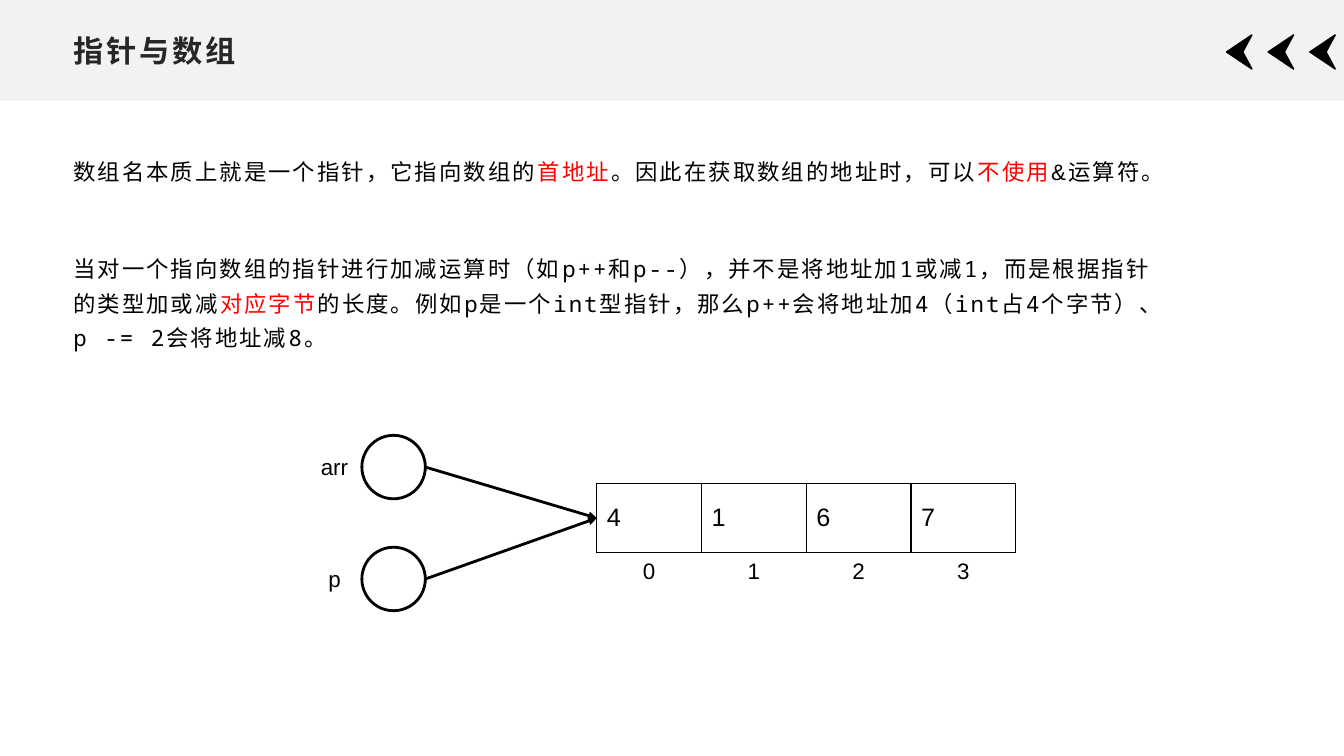
from lxml import etree
from pptx import Presentation
from pptx.dml.color import RGBColor
from pptx.enum.shapes import MSO_CONNECTOR, MSO_SHAPE
from pptx.enum.text import MSO_ANCHOR, MSO_AUTO_SIZE, PP_ALIGN
from pptx.oxml.ns import qn
from pptx.util import Cm, Pt

STRAIGHT = MSO_CONNECTOR.STRAIGHT
RECT, OVAL = MSO_SHAPE.RECTANGLE, MSO_SHAPE.OVAL
MIDDLE, TOP = MSO_ANCHOR.MIDDLE, MSO_ANCHOR.TOP
LEFT, CENTER = PP_ALIGN.LEFT, PP_ALIGN.CENTER
NO_AUTOFIT = MSO_AUTO_SIZE.NONE
BLACK, WHITE, RED, GREY, DARK = "000000", "FFFFFF", "FF0000", "F2F2F2", "262626"
SANS, MONO = "Arial", "Noto Sans Mono"

INTRO = [
    ("数组名本质上就是一个指针，它指向数组的", BLACK),
    ("首地址", RED),
    ("。因此在获取数组的地址时，可以", BLACK),
    ("不使用", RED),
    ("&运算符。", BLACK),
]
ARITHMETIC = [
    ("当对一个指向数组的指针进行加减运算时（如p++和p--），并不是将地址加1或减1，"
     "而是根据指针的类型加或减", BLACK),
    ("对应字节", RED),
    ("的长度。例如p是一个int型指针，那么p++会将地址加4（int占4个字节）、"
     "p -= 2会将地址减8。", BLACK),
]


def rgb(color):
    """Turn a hex string into a colour."""
    return RGBColor.from_string(color)


def add_run(p, text, size, color=BLACK, font=SANS, bold=False, spacing=0):
    """Add one formatted run to a paragraph."""
    r = p.add_run()
    r.text = text
    r.font.size, r.font.name, r.font.bold = Pt(size), font, bold
    r.font.color.rgb = rgb(color)
    if spacing:
        r._r.get_or_add_rPr().set("spc", str(round(spacing * 100)))


def style(sp, fill, line=None, width=1):
    """Set fill and outline of a shape and drop its shadow."""
    sp.shadow.inherit = False
    sp.fill.solid()
    sp.fill.fore_color.rgb = rgb(fill)
    if line:
        sp.line.color.rgb = rgb(line)
        sp.line.width = Pt(width)
    else:
        sp.line.fill.background()


def add_label(s, text, center, top, width):
    """Add a centred one-line label."""
    tf = s.shapes.add_textbox(Cm(center - width / 2), Cm(top), Cm(width), Cm(0.94)).text_frame
    tf.word_wrap = True
    p = tf.paragraphs[0]
    p.alignment = CENTER
    add_run(p, text, 16)


def add_chevron(s, x, y, w, h):
    """Draw a notched arrowhead that points left."""
    fb = s.shapes.build_freeform(Cm(x + w), Cm(y + h))
    fb.add_line_segments([(Cm(x), Cm(y + h / 2)), (Cm(x + w), Cm(y)),
                          (Cm(x + w * 0.64), Cm(y + h / 2))], close=True)
    style(fb.convert_to_shape(), BLACK, BLACK)


def add_header(s, text, x, y, w, h):
    """Draw the title band with its title and three arrowheads."""
    band = s.shapes.add_shape(RECT, Cm(x), Cm(y), Cm(w), Cm(h))
    style(band, GREY)
    for i in range(3):
        add_chevron(s, x + w - 2.96 + i * 1.05, y + 0.88, 0.64, 0.86)
    title = s.shapes.title
    s.shapes._spTree.append(title._element)
    title.left, title.top, title.width, title.height = Cm(x + 1.6), Cm(y + 0.66), Cm(w - 3.2), Cm(1.22)
    tf = title.text_frame
    tf.vertical_anchor, tf.auto_size = MIDDLE, NO_AUTOFIT
    p = tf.paragraphs[0]
    p.alignment = LEFT
    add_run(p, text, 21.6, DARK, bold=True, spacing=2)


def add_body(s, x, y, w, h):
    """Write the two explanatory paragraphs."""
    tf = s.shapes.add_textbox(Cm(x), Cm(y), Cm(w), Cm(h)).text_frame
    tf.word_wrap, tf.vertical_anchor = True, TOP
    paragraphs = [(INTRO, SANS, 44), (ARITHMETIC, MONO, 10)]
    for i, (runs, font, after) in enumerate(paragraphs):
        p = tf.add_paragraph() if i else tf.paragraphs[0]
        p.line_spacing, p.space_after = 1.3, Pt(after)
        for text, color in runs:
            add_run(p, text, 16, color, font, spacing=1.5)


def add_borders(cell):
    """Give a table cell a thin black border on each side."""
    tcPr = cell._tc.get_or_add_tcPr()
    for side in ("lnL", "lnR", "lnT", "lnB"):
        ln = etree.SubElement(tcPr, qn(f"a:{side}"), w=str(Pt(1)))
        fill = etree.SubElement(ln, qn("a:solidFill"))
        etree.SubElement(fill, qn("a:srgbClr"), val=BLACK)


def add_array(s, values, x, y, w, h):
    """Draw the array as a one-row table with indices below."""
    table = s.shapes.add_table(1, len(values), Cm(x), Cm(y), Cm(w), Cm(h)).table
    table.first_row = table.horz_banding = False
    col_w = w / len(values)
    for i, value in enumerate(values):
        table.columns[i].width = Cm(col_w)
        cell = table.cell(0, i)
        cell.vertical_anchor = MIDDLE
        add_borders(cell)
        cell.fill.background()
        add_run(cell.text_frame.paragraphs[0], value, 18)
        add_label(s, str(i), x + (i + 0.5) * col_w, y + h, col_w)


def add_arrow(s, x1, y1, x2, y2):
    """Draw a straight arrow."""
    c = s.shapes.add_connector(STRAIGHT, Cm(x1), Cm(y1), Cm(x2), Cm(y2))
    c.line.color.rgb, c.line.width = rgb(BLACK), Pt(2)
    etree.SubElement(c.line._get_or_add_ln(), qn("a:tailEnd"), type="triangle")
    etree.SubElement(c._element.spPr, qn("a:effectLst"))


def add_diagram(s, x, y):
    """Draw two pointers that lead to the first array element."""
    d, array_x, array_y, array_h = 1.6, x + 7.3, y + 1.22, 1.73
    add_array(s, ["4", "1", "6", "7"], array_x, array_y, 10.56, array_h)
    for i, name in enumerate(["arr", "p"]):
        top = y + i * 2.82
        circle = s.shapes.add_shape(OVAL, Cm(x + 1.38), Cm(top), Cm(d), Cm(d))
        style(circle, WHITE, BLACK, 2)
        add_label(s, name, x + 0.69, top + (d - 0.94) / 2, 1.36)
        add_arrow(s, x + 1.38 + d, top + d / 2, array_x, array_y + array_h / 2)


def main():
    """Build the slide and save it."""
    prs = Presentation()
    prs.slide_width, prs.slide_height = Cm(33.87), Cm(19.05)
    s = prs.slides.add_slide(prs.slide_layouts[5])
    add_header(s, "指针与数组", 0, 0, 33.87, 2.54)
    add_body(s, 1.6, 3.66, 28.04, 5.44)
    add_diagram(s, 7.74, 10.97)
    prs.save("out.pptx")


if __name__ == "__main__":
    main()
